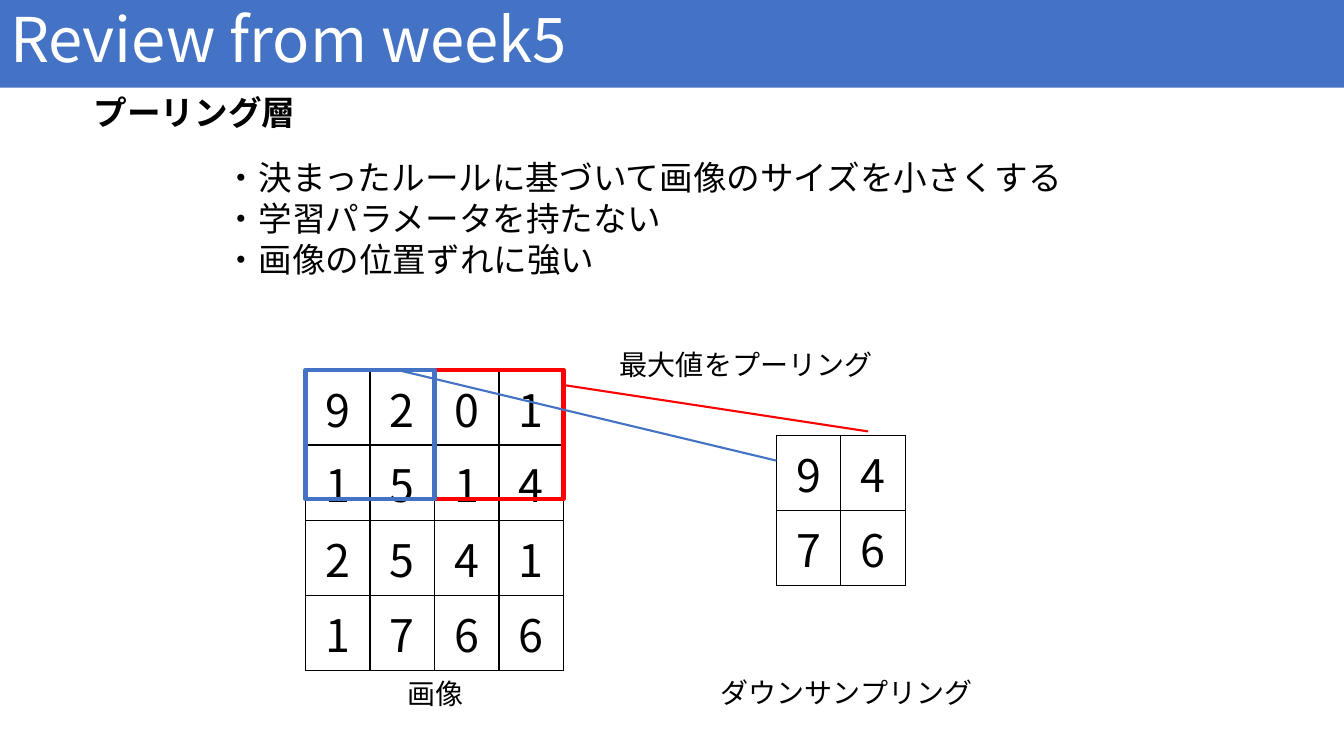
import pptx
import pptx.util
import pptx.dml.color
import pptx.enum.shapes
import pptx.enum.text
import pptx.oxml
import pptx.oxml.ns

Inches, Pt = pptx.util.Inches, pptx.util.Pt
PP_ALIGN = pptx.enum.text.PP_ALIGN
rgb = pptx.dml.color.RGBColor.from_string
NS = pptx.oxml.ns.nsdecls("a")

THEME = {
    "font": "Noto Sans CJK JP",
    "blue": "4472C4", "red": "FF0000", "black": "000000", "white": "FFFFFF",
    "title": 44, "digit": 32, "body": 24, "caption": 20,
    "frame": 3, "link": 1.5, "grid": 1,
}
CELL = 0.64
WINDOW = 2 * CELL
IMAGE_LEFT, IMAGE_TOP = 3.03, 3.67
POOLED_LEFT, POOLED_TOP = 7.7, 4.32


def write(frame, lines, size, color="black", bold=False, pitch=1.22, align=PP_ALIGN.LEFT):
    """Fill a text frame, one paragraph a line; pitch is line height over type size."""
    frame.text = "\n".join(lines)
    paragraph_format = {"alignment": align, "space_before": Pt(0), "space_after": Pt(0)}
    if pitch:
        paragraph_format["line_spacing"] = Pt(THEME[size] * pitch)
    font_format = {"size": Pt(THEME[size]), "bold": bold, "name": THEME["font"]}
    for paragraph in frame.paragraphs:
        for name, value in paragraph_format.items():
            setattr(paragraph, name, value)
        font = paragraph.runs[0].font
        font.color.rgb = rgb(THEME[color])
        for name, value in font_format.items():
            setattr(font, name, value)
        paragraph.runs[0]._r.get_or_add_rPr().append(pptx.oxml.parse_xml(
            f'<a:ea {NS} typeface="{THEME["font"]}"/>'))


prs = pptx.Presentation()
prs.slide_width, prs.slide_height = Inches(13.33), Inches(7.5)
slide = prs.slides.add_slide(prs.slide_layouts[1])
shapes = slide.shapes

# Title band and list
title, features = shapes.title, slide.placeholders[1]
for placeholder, box in ((title, (0, 0, 13.33, 0.87)), (features, (2.13, 1.5, 8.89, 1.31))):
    for side, length in zip(("left", "top", "width", "height"), box):
        setattr(placeholder, side, Inches(length))
    frame_format = {"word_wrap": True, "auto_size": pptx.enum.text.MSO_AUTO_SIZE.NONE,
                    "vertical_anchor": pptx.enum.text.MSO_ANCHOR.TOP}
    for name, value in frame_format.items():
        setattr(placeholder.text_frame, name, value)
title.fill.solid()
title.fill.fore_color.rgb = rgb(THEME["blue"])
write(title.text_frame, ["Review from week5"], "title", "white", pitch=1.125)
write(features.text_frame, [
    "・決まったルールに基づいて画像のサイズを小さくする",
    "・学習パラメータを持たない",
    "・画像の位置ずれに強い",
], "body")
for paragraph in features.text_frame.paragraphs:
    properties = paragraph._p.get_or_add_pPr()
    for name in ("marL", "indent"):
        properties.set(name, "0")
    properties.append(pptx.oxml.parse_xml(f"<a:buNone {NS}/>"))

# Pixel grids before and after pooling
for left, top, pixels in (
    (IMAGE_LEFT, IMAGE_TOP, ("9201", "1514", "2541", "1766")),
    (POOLED_LEFT, POOLED_TOP, ("94", "76")),
):
    side = Inches(CELL * len(pixels))
    grid = shapes.add_table(len(pixels), len(pixels), Inches(left), Inches(top), side, side).table
    grid.first_row = grid.horz_banding = False
    for row, digits in enumerate(pixels):
        for column, digit in enumerate(digits):
            cell = grid.cell(row, column)
            cell.fill.solid()
            cell.fill.fore_color.rgb = rgb(THEME["white"])
            write(cell.text_frame, [digit], "digit", pitch=None, align=PP_ALIGN.CENTER)
            for order, edge in enumerate(("lnL", "lnR", "lnT", "lnB")):
                cell._tc.get_or_add_tcPr().insert(order, pptx.oxml.parse_xml(
                    f'<a:{edge} {NS} w="{Pt(THEME["grid"])}"><a:solidFill>'
                    f'<a:srgbClr val="{THEME["black"]}"/></a:solidFill></a:{edge}>'))

# Pooling windows
for color, column in (("red", 2), ("blue", 0)):
    window = shapes.add_shape(
        pptx.enum.shapes.MSO_SHAPE.RECTANGLE, Inches(IMAGE_LEFT + column * CELL),
        Inches(IMAGE_TOP), Inches(WINDOW), Inches(WINDOW))
    window.shadow.inherit = False
    window.fill.background()
    window.line.color.rgb = rgb(THEME[color])
    window.line.width = Pt(THEME["frame"])

# Links from each window to its maximum
for color, start, end in (
    ("blue", (3.94, IMAGE_TOP), (POOLED_LEFT, 4.57)),
    ("red", (IMAGE_LEFT + 2 * WINDOW, 3.82), (8.61, 4.28)),
):
    link = shapes.add_connector(
        pptx.enum.shapes.MSO_CONNECTOR.STRAIGHT, *map(Inches, start + end))
    link.line.color.rgb = rgb(THEME[color])
    link.line.width = Pt(THEME["link"])
    link._element.spPr.append(pptx.oxml.parse_xml(f"<a:effectLst {NS}/>"))

# Heading and captions
for text, size, bold, box in (
    ("プーリング層", "body", True, (0.83, 0.86, 7.78, 0.5)),
    ("画像", "caption", False, (3.94, 6.66, 0.79, 0.44)),
    ("ダウンサンプリング", "caption", False, (7.05, 6.65, 2.93, 0.44)),
    ("最大値をプーリング", "caption", False, (6.05, 3.39, 2.93, 0.44)),
):
    label = shapes.add_textbox(*map(Inches, box)).text_frame
    label.word_wrap = True
    write(label, [text], size, bold=bold)

prs.save("out.pptx")
